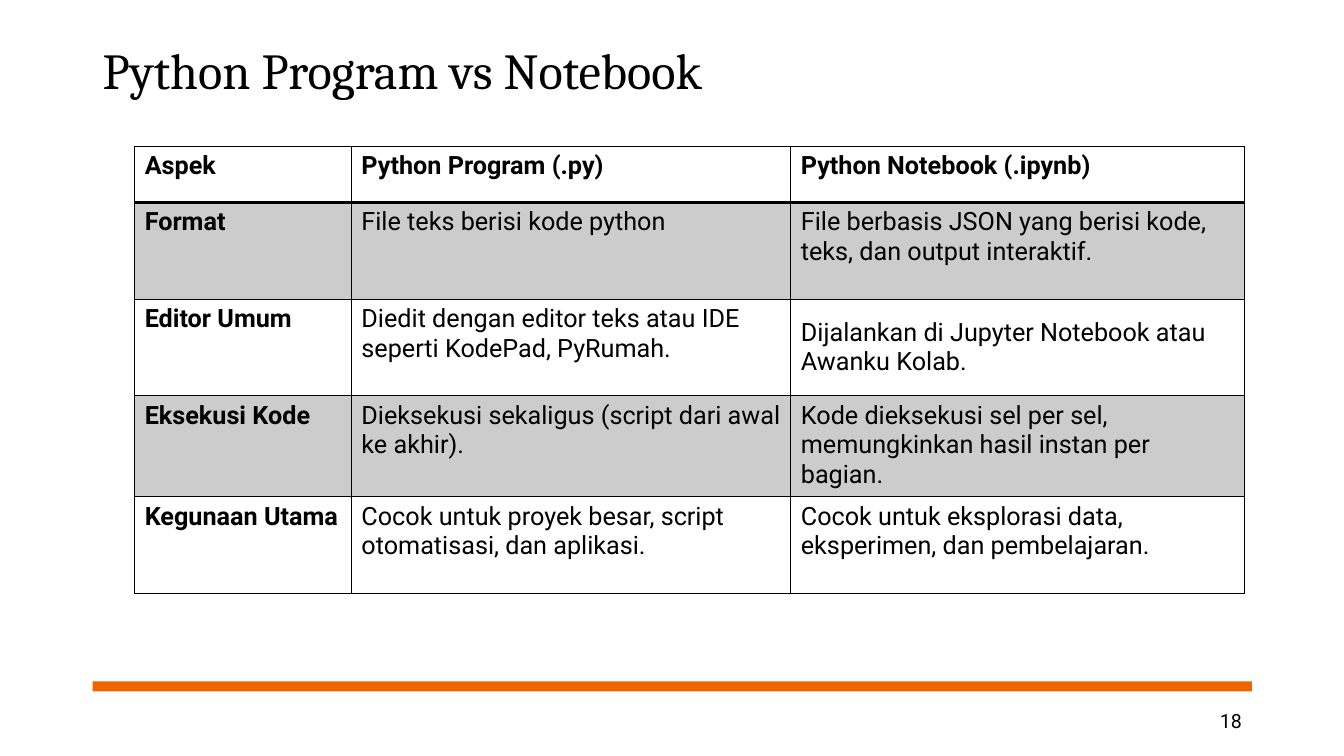
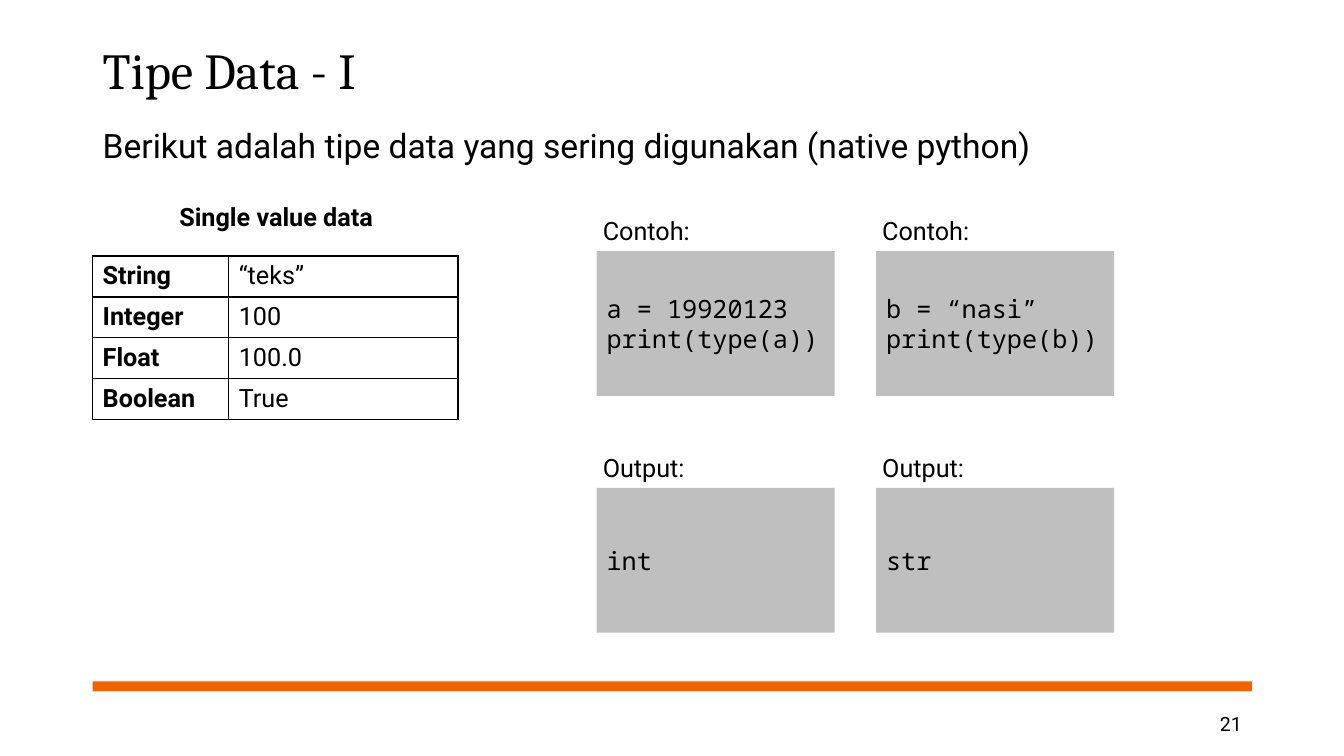
import lxml.etree
import pptx
import pptx.dml.color
import pptx.enum.shapes
import pptx.enum.text
import pptx.oxml.ns
import pptx.util

Pt = pptx.util.Pt
RGBColor = pptx.dml.color.RGBColor
PP_ALIGN = pptx.enum.text.PP_ALIGN
MSO_ANCHOR = pptx.enum.text.MSO_ANCHOR
qn = pptx.oxml.ns.qn

INK = RGBColor(0x00, 0x00, 0x00)
ORANGE = RGBColor(0xF0, 0x64, 0x00)
ROW_GREY = RGBColor(0xCC, 0xCC, 0xCC)
CODE_GREY = RGBColor(0xBF, 0xBF, 0xBF)

TITLE_FONT = {"name": "Cambria", "size": Pt(36)}
LEAD_FONT = {"name": "Roboto", "size": Pt(24)}
TEXT_FONT = {"name": "Roboto", "size": Pt(18), "bold": False}
STRONG_FONT = {**TEXT_FONT, "bold": True}
CODE_FONT = {"name": "Noto Sans Mono", "size": Pt(18)}
NUMBER_FONT = {"name": "Roboto", "size": Pt(14)}

LEFT, WIDTH = 66.2, 828
TITLE_ONLY, TITLE_AND_BODY = 5, 1

COMPARISON = [
    ["Aspek", "Python Program (.py)", "Python Notebook (.ipynb)"],
    ["Format", "File teks berisi kode python",
     "File berbasis JSON yang berisi kode, teks, dan output interaktif."],
    ["Editor Umum", "Diedit dengan editor teks atau IDE seperti KodePad, PyRumah.",
     "Dijalankan di Jupyter Notebook atau Awanku Kolab."],
    ["Eksekusi Kode", "Dieksekusi sekaligus (script dari awal ke akhir).",
     "Kode dieksekusi sel per sel, memungkinkan hasil instan per bagian."],
    ["Kegunaan Utama", "Cocok untuk proyek besar, script otomatisasi, dan aplikasi.",
     "Cocok untuk eksplorasi data, eksperimen, dan pembelajaran."],
]
SINGLE_VALUES = [
    ["String", "“teks”"],
    ["Integer", "100"],
    ["Float", "100.0"],
    ["Boolean", "True"],
]
EXAMPLES = [
    (["a = 19920123", "print(type(a))"], ["int"]),
    (["b = “nasi”", "print(type(b))"], ["str"]),
]


def apply_format(target, values):
    for attribute, value in values.items():
        setattr(target, attribute, value)


def place(shape, left, top, width, height):
    apply_format(shape, {"left": Pt(left), "top": Pt(top),
                         "width": Pt(width), "height": Pt(height)})


def write(frame, lines, font, **paragraph_format):
    for index, line in enumerate(lines):
        paragraph = frame.add_paragraph() if index else frame.paragraphs[0]
        apply_format(paragraph, {"alignment": PP_ALIGN.LEFT, **paragraph_format})
        run = paragraph.add_run()
        run.text = line
        apply_format(run.font, font)
        run.font.color.rgb = INK


def add_text(slide, text, box, font, anchor=MSO_ANCHOR.TOP, **paragraph_format):
    frame = slide.shapes.add_textbox(*map(Pt, box)).text_frame
    apply_format(frame, {"word_wrap": True, "vertical_anchor": anchor})
    write(frame, [text], font, **paragraph_format)


def add_block(slide, box, color):
    block = slide.shapes.add_shape(
        pptx.enum.shapes.MSO_SHAPE.RECTANGLE, *map(Pt, box))
    block.shadow.inherit = False
    block.fill.solid()
    block.fill.fore_color.rgb = color
    block.line.fill.background()
    return block


def add_code(slide, lines, box):
    frame = add_block(slide, box, CODE_GREY).text_frame
    apply_format(frame, {"word_wrap": True, "vertical_anchor": MSO_ANCHOR.MIDDLE})
    write(frame, lines, CODE_FONT)


def add_lecture_slide(prs, layout, title, number, number_top):
    """Add a slide with the shared title style, orange band and page number."""
    slide = prs.slides.add_slide(prs.slide_layouts[layout])
    heading = slide.shapes.title
    place(heading, LEFT, 17.3, WIDTH, 70.6)
    heading.text_frame.vertical_anchor = MSO_ANCHOR.MIDDLE
    write(heading.text_frame, [title], TITLE_FONT, line_spacing=0.9)
    add_block(slide, (LEFT, 486.7, WIDTH, 7.2), ORANGE)
    add_text(slide, number, (678.2, number_top, 216, 28.8), NUMBER_FONT,
             MSO_ANCHOR.MIDDLE, alignment=PP_ALIGN.RIGHT)
    return slide


def write_lead(slide, text):
    lead = slide.placeholders[1]
    place(lead, LEFT, 88.6, WIDTH, 47.5)
    lead.text_frame.auto_size = pptx.enum.text.MSO_AUTO_SIZE.NONE
    properties = lead.text_frame.paragraphs[0]._p.get_or_add_pPr()
    properties.set("marL", "0")
    properties.set("indent", "0")
    lxml.etree.SubElement(properties, qn("a:buNone"))
    write(lead.text_frame, [text], LEAD_FONT, line_spacing=0.9, space_before=Pt(0))


def set_borders(cell, widths):
    properties = cell._tc.get_or_add_tcPr()
    for side, width in widths.items():
        line = lxml.etree.SubElement(properties, qn(f"a:ln{side}"), w=str(Pt(width)))
        fill = lxml.etree.SubElement(line, qn("a:solidFill"))
        lxml.etree.SubElement(fill, qn("a:srgbClr"), val=str(INK))


def add_grid(slide, rows, left, top, widths, heights, has_header=False):
    """Add a bordered table; with a header, odd body rows are shaded."""
    table = slide.shapes.add_table(len(rows), len(widths), Pt(left), Pt(top),
                                   Pt(sum(widths)), Pt(sum(heights))).table
    apply_format(table, {"first_row": has_header, "horz_banding": False})
    for column, width in zip(table.columns, widths):
        column.width = Pt(width)
    for r, (row, height) in enumerate(zip(rows, heights)):
        table.rows[r].height = Pt(height)
        is_header = has_header and r == 0
        top_width = 2 if has_header and r == 1 else 1
        for c, text in enumerate(row):
            cell = table.cell(r, c)
            set_borders(cell, {"L": 1, "R": 1, "T": top_width,
                               "B": 2 if is_header else 1})
            if has_header and r % 2:
                cell.fill.solid()
                cell.fill.fore_color.rgb = ROW_GREY
            else:
                cell.fill.background()
            write(cell.text_frame, [text],
                  STRONG_FONT if is_header or c == 0 else TEXT_FONT)
    return table


def build_comparison(prs):
    slide = add_lecture_slide(prs, TITLE_ONLY, "Python Program vs Notebook",
                              "18", 500.4)
    table = add_grid(slide, COMPARISON, 96.2, 104.6, [154.8, 313.9, 324],
                     [40] + [69.1] * 4, has_header=True)
    table.cell(2, 2).vertical_anchor = MSO_ANCHOR.MIDDLE


def build_data_types(prs):
    slide = add_lecture_slide(prs, TITLE_AND_BODY, "Tipe Data - I", "21", 502.6)
    write_lead(slide, "Berikut adalah tipe data yang sering digunakan (native python)")
    add_text(slide, "Single value data", (121, 140.4, 161, 28.8), STRONG_FONT)
    add_grid(slide, SINGLE_VALUES, LEFT, 182.9, [97.2, 163.8], [29.2] * 4)
    for column, example in enumerate(EXAMPLES):
        left = 426.2 + column * 199.6
        for row, (label, lines) in enumerate(zip(("Contoh:", "Output:"), example)):
            top = 179.3 + row * 169.2
            add_text(slide, label, (left - 2.7, top - 29.2, 77, 28.8), TEXT_FONT)
            add_code(slide, lines, (left, top, 170, 103.5))


def main():
    prs = pptx.Presentation()
    apply_format(prs, {"slide_width": Pt(960), "slide_height": Pt(540)})
    build_comparison(prs)
    build_data_types(prs)
    prs.save("out.pptx")


if __name__ == "__main__":
    main()
